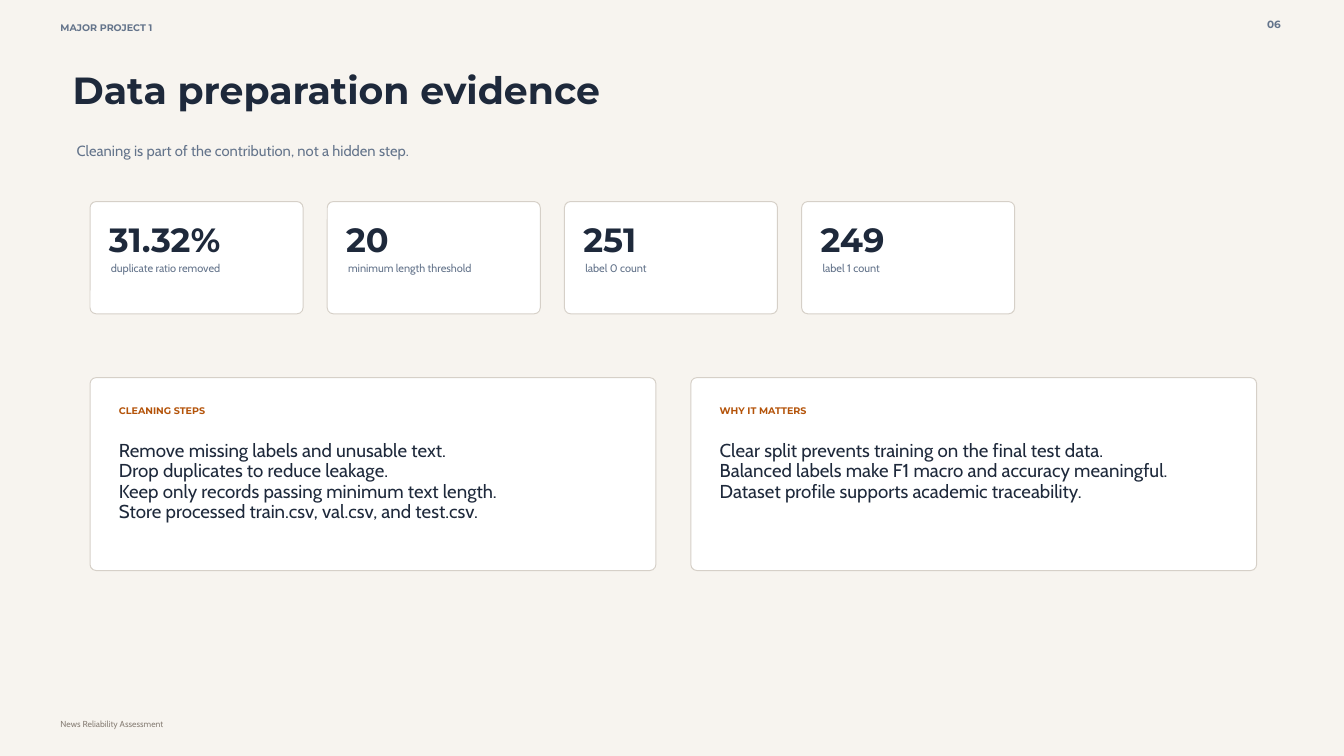
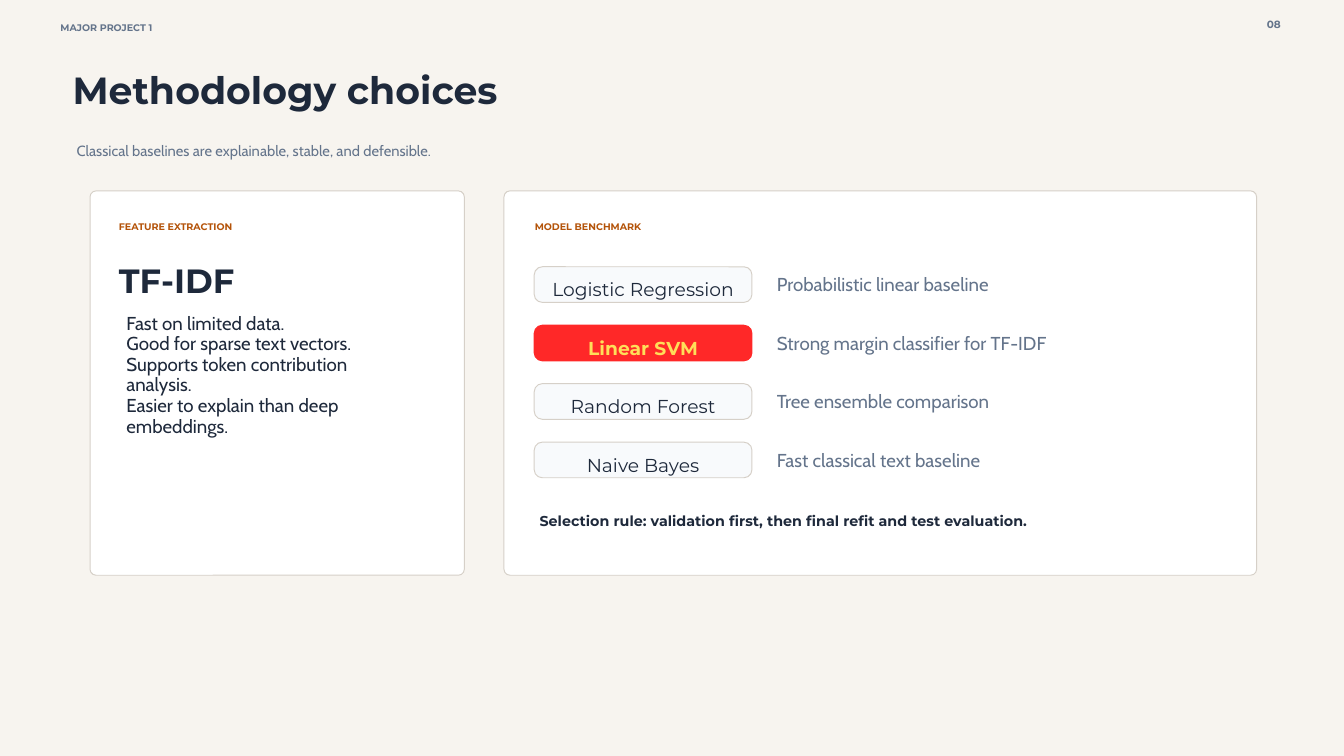
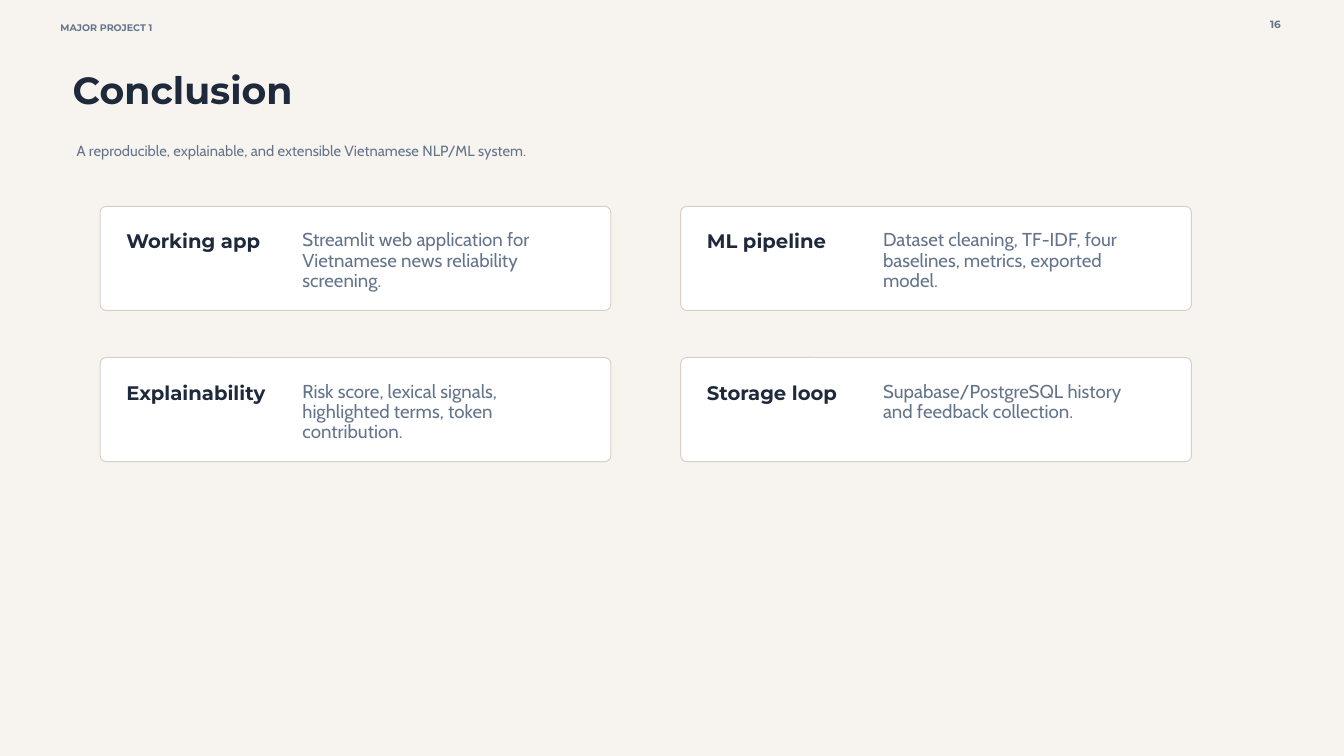
from collections import namedtuple

from pptx import Presentation
from pptx.dml.color import RGBColor
from pptx.enum.shapes import MSO_SHAPE
from pptx.enum.text import MSO_ANCHOR, PP_ALIGN
from pptx.util import Inches, Pt

PAPER, WHITE, MIST = "F7F4EF", "FFFFFF", "F8FAFC"
INK, SLATE, TAUPE, RUST = "1E293B", "64748B", "8A8178", "B45309"
BORDER, RED, YELLOW = "D6D0C8", "FF2828", "FFDE59"
HEADING, BODY = "Montserrat", "Cabin"

TextStyle = namedtuple("TextStyle", "font size leading color bold", defaults=[False])
RUNNING_HEAD = TextStyle(HEADING, 10.2, 11.6, SLATE, True)
PAGE_NUMBER = TextStyle(HEADING, 11.2, 12.8, SLATE, True)
TITLE = TextStyle(HEADING, 40.5, 39.9, INK, True)
SUBTITLE = TextStyle(BODY, 15.8, 18, SLATE)
FOOTER = TextStyle(BODY, 9.3, 10.6, TAUPE)
FIGURE = TextStyle(HEADING, 36, 41.1, INK, True)
CAPTION = TextStyle(BODY, 11.8, 12.8, SLATE)
LABEL = TextStyle(HEADING, 10.2, 11.6, RUST, True)
LINES = TextStyle(BODY, 20, 22.1, INK)
MODEL = TextStyle(HEADING, 20, 22.8, INK)
CHOSEN_MODEL = TextStyle(HEADING, 20, 22.8, YELLOW, True)
MODEL_NOTE = TextStyle(BODY, 20, 22.8, SLATE)
RULE = TextStyle(HEADING, 15.3, 17.4, INK, True)
TOPIC = TextStyle(HEADING, 21, 23.9, INK, True)
SUMMARY = TextStyle(BODY, 20, 21.6, SLATE)


def rgb(color):
    return RGBColor.from_string(color)


class Deck:
    def __init__(self):
        self.deck = Presentation()
        self.deck.slide_width = Inches(20)
        self.deck.slide_height = Inches(11.25)
        self.page = None

    def add_page(self, number, title, subtitle):
        self.page = self.deck.slides.add_slide(self.deck.slide_layouts[6])
        background = self.page.background.fill
        background.solid()
        background.fore_color.rgb = rgb(PAPER)
        self.text(0.9, 0.33, 5.25, 0.27, "MAJOR PROJECT 1", RUNNING_HEAD)
        self.text(18.16, 0.27, 0.9, 0.38, number, PAGE_NUMBER, PP_ALIGN.RIGHT)
        self.text(1.08, 1.12, 11.71, 1.1, title, TITLE)
        self.text(1.14, 2.13, 12.61, 0.28, subtitle, SUBTITLE)

    def fill_frame(self, frame, content, style, align=PP_ALIGN.LEFT):
        """Fill a text frame with one paragraph per line of content."""
        frame.word_wrap = True
        frame.vertical_anchor = MSO_ANCHOR.TOP
        frame.margin_left = frame.margin_right = 0
        frame.margin_top = frame.margin_bottom = 0
        frame.text = content
        for para in frame.paragraphs:
            para.alignment = align
            para.line_spacing = Pt(style.leading)
            para.font.name = style.font
            para.font.size = Pt(style.size)
            para.font.bold = style.bold
            para.font.color.rgb = rgb(style.color)

    def text(self, left, top, width, height, content, style, align=PP_ALIGN.LEFT):
        box = self.page.shapes.add_textbox(
            Inches(left), Inches(top), Inches(width), Inches(height))
        self.fill_frame(box.text_frame, content, style, align)

    def card(self, left, top, width, height, fill=WHITE, line=BORDER, radius=0.09):
        card = self.page.shapes.add_shape(
            MSO_SHAPE.ROUNDED_RECTANGLE,
            Inches(left), Inches(top), Inches(width), Inches(height))
        card.adjustments[0] = radius / min(width, height)
        card.shadow.inherit = False
        card.fill.solid()
        card.fill.fore_color.rgb = rgb(fill)
        card.line.color.rgb = rgb(line)
        card.line.width = Pt(1.05)
        return card

    def pill(self, left, top, content, chosen):
        fill, line, style = (RED, RED, CHOSEN_MODEL) if chosen else (MIST, BORDER, MODEL)
        pill = self.card(left, top, 3.24, 0.53, fill, line, radius=0.12)
        self.fill_frame(pill.text_frame, content, style, PP_ALIGN.CENTER)
        pill.text_frame.margin_top = Inches(0.15)

    def metric(self, left, top, figure, caption):
        self.card(left, top, 3.17, 1.67)
        self.text(left + 0.28, top + 0.29, 2.61, 0.46, figure, FIGURE)
        self.text(left + 0.31, top + 0.91, 2.55, 0.22, caption, CAPTION)

    def list_card(self, left, top, label, lines):
        self.card(left, top, 8.42, 2.87)
        self.text(left + 0.43, top + 0.41, 3.9, 0.27, label, LABEL)
        self.text(left + 0.43, top + 0.93, 7.21, 1.26, "\n".join(lines), LINES)

    def topic_card(self, left, top, topic, summary):
        self.card(left, top, 7.6, 1.55)
        self.text(left + 0.39, top + 0.36, 2.7, 0.34, topic, TOPIC)
        self.text(left + 3.01, top + 0.36, 3.98, 0.92, summary, SUMMARY)


def add_data_preparation(deck):
    deck.add_page("06", "Data preparation evidence",
                  "Cleaning is part of the contribution, not a hidden step.")
    deck.text(0.9, 10.71, 9.01, 0.17, "News Reliability Assessment", FOOTER)
    metrics = [
        ("31.32%", "duplicate ratio removed"),
        ("20", "minimum length threshold"),
        ("251", "label 0 count"),
        ("249", "label 1 count"),
    ]
    for column, (figure, caption) in enumerate(metrics):
        deck.metric(1.34 + 3.53 * column, 3, figure, caption)
    deck.list_card(1.34, 5.62, "CLEANING STEPS", [
        "Remove missing labels and unusable text.",
        "Drop duplicates to reduce leakage.",
        "Keep only records passing minimum text length.",
        "Store processed train.csv, val.csv, and test.csv.",
    ])
    deck.list_card(10.28, 5.62, "WHY IT MATTERS", [
        "Clear split prevents training on the final test data.",
        "Balanced labels make F1 macro and accuracy meaningful.",
        "Dataset profile supports academic traceability.",
    ])


def add_methodology(deck):
    deck.add_page("08", "Methodology choices",
                  "Classical baselines are explainable, stable, and defensible.")
    deck.card(1.34, 2.84, 5.57, 5.72)
    deck.text(1.77, 3.3, 3.9, 0.27, "FEATURE EXTRACTION", LABEL)
    deck.text(1.77, 3.89, 3.6, 0.55, "TF-IDF", FIGURE)
    deck.text(1.88, 4.66, 4.13, 1.86, "\n".join([
        "Fast on limited data.",
        "Good for sparse text vectors.",
        "Supports token contribution analysis.",
        "Easier to explain than deep embeddings.",
    ]), LINES)

    deck.card(7.5, 2.84, 11.2, 5.72)
    deck.text(7.96, 3.3, 3.9, 0.27, "MODEL BENCHMARK", LABEL)
    models = [
        ("Logistic Regression", "Probabilistic linear baseline"),
        ("Linear SVM", "Strong margin classifier for TF-IDF"),
        ("Random Forest", "Tree ensemble comparison"),
        ("Naive Bayes", "Fast classical text baseline"),
    ]
    for row, (model, note) in enumerate(models):
        top = 3.97 + 0.87 * row
        deck.pill(7.95, top, model, chosen=model == "Linear SVM")
        deck.text(11.56, top + 0.11, 5.7, 0.35, note, MODEL_NOTE)
    deck.text(8.03, 7.63, 9.76, 0.25,
              "Selection rule: validation first, then final refit and test evaluation.", RULE)


def add_conclusion(deck):
    deck.add_page("16", "Conclusion",
                  "A reproducible, explainable, and extensible Vietnamese NLP/ML system.")
    topics = [
        ("Working app", "Streamlit web application for Vietnamese news reliability screening."),
        ("ML pipeline", "Dataset cleaning, TF-IDF, four baselines, metrics, exported model."),
        ("Explainability", "Risk score, lexical signals, highlighted terms, token contribution."),
        ("Storage loop", "Supabase/PostgreSQL history and feedback collection."),
    ]
    for index, (topic, summary) in enumerate(topics):
        row, column = divmod(index, 2)
        deck.topic_card(1.49 + 8.64 * column, 3.07 + 2.25 * row, topic, summary)


def main():
    deck = Deck()
    add_data_preparation(deck)
    add_methodology(deck)
    add_conclusion(deck)
    deck.deck.save("out.pptx")


if __name__ == "__main__":
    main()
